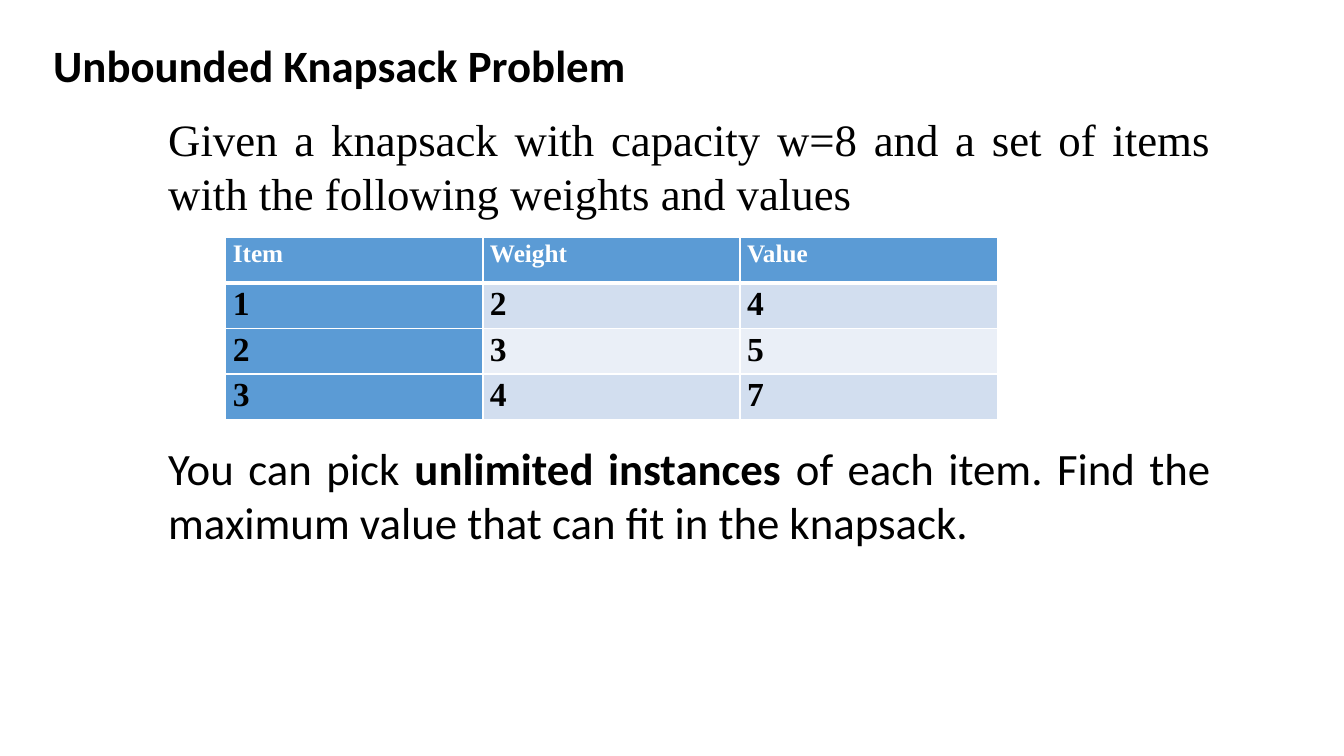
from dataclasses import dataclass

from lxml import etree
from pptx import Presentation
from pptx.dml.color import RGBColor
from pptx.enum.text import MSO_AUTO_SIZE, PP_ALIGN
from pptx.oxml.ns import qn
from pptx.util import Inches, Pt

LEFT, JUSTIFY = PP_ALIGN.LEFT, PP_ALIGN.JUSTIFY
FIT_SHAPE = MSO_AUTO_SIZE.SHAPE_TO_FIT_TEXT
SANS, SERIF = "Calibri", "Times New Roman"
COLORS = {
    "text": "000000",
    "white": "FFFFFF",
    "header": "5B9BD5",
    "band_dark": "D2DEEF",
    "band_light": "EAEFF7",
}


@dataclass
class Run:
    text: str
    font: str = SANS
    size: int = 32
    bold: bool = False
    color: str = "text"


@dataclass
class Para:
    runs: list[Run]
    align: int = LEFT
    before: int = 0


@dataclass
class TextBox:
    left: float
    top: float
    width: float
    height: float
    paras: list[Para]


TEXT_BOXES = [
    TextBox(0.43, 0.33, 9.46, 0.64, [
        Para([Run("Unbounded Knapsack Problem", bold=True)]),
    ]),
    TextBox(1.57, 1.06, 10.54, 4.41, [
        Para([Run("Given a knapsack with capacity w=8 and a set of items "
                  "with the following weights and values", SERIF)], JUSTIFY),
        # The space before this paragraph leaves room for the table
        Para([Run("You can pick "),
              Run("unlimited instances", bold=True),
              Run(" of each item. Find the maximum value that can fit "
                  "in the knapsack.")], JUSTIFY, 158),
    ]),
]
ITEMS = [
    ("Item", "Weight", "Value"),
    ("1", "2", "4"),
    ("2", "3", "5"),
    ("3", "4", "7"),
]
COL_WIDTH, ROW_HEIGHT = 2.55, 0.45


def rgb(name: str) -> RGBColor:
    return RGBColor.from_string(COLORS[name])


def add_run(p, run: Run) -> None:
    r = p.add_run()
    r.text = run.text
    r.font.name = run.font
    r.font.size = Pt(run.size)
    r.font.bold = run.bold
    r.font.color.rgb = rgb(run.color)


def add_text_box(s, box: TextBox) -> None:
    sp = s.shapes.add_textbox(Inches(box.left), Inches(box.top),
                              Inches(box.width), Inches(box.height))
    tf = sp.text_frame
    tf.word_wrap = True
    tf.auto_size = FIT_SHAPE
    for i, para in enumerate(box.paras):
        p = tf.add_paragraph() if i else tf.paragraphs[0]
        p.alignment = para.align
        p.space_before = Pt(para.before)
        for run in para.runs:
            add_run(p, run)


def set_borders(cell, row: int) -> None:
    widths = {"L": 1, "R": 1, "T": 3 if row == 1 else 1, "B": 3 if row == 0 else 1}
    tc_pr = cell._tc.get_or_add_tcPr()
    for i, (side, width) in enumerate(widths.items()):
        ln = etree.Element(qn(f"a:ln{side}"), w=str(Pt(width)))
        fill = etree.SubElement(ln, qn("a:solidFill"))
        etree.SubElement(fill, qn("a:srgbClr"), val=COLORS["white"])
        tc_pr.insert(i, ln)


def fill_cell(cell, text: str, row: int, col: int) -> None:
    if row == 0 or col == 0:
        fill = "header"
    else:
        fill = "band_dark" if row % 2 else "band_light"
    cell.fill.solid()
    cell.fill.fore_color.rgb = rgb(fill)
    cell.margin_left = cell.margin_right = Inches(0.07)
    cell.margin_top = cell.margin_bottom = 0
    p = cell.text_frame.paragraphs[0]
    p.line_spacing = 1.07
    size, color = (24, "text") if row else (18, "white")
    add_run(p, Run(text, SERIF, size, True, color))
    set_borders(cell, row)


def add_item_table(s) -> None:
    rows, cols = len(ITEMS), len(ITEMS[0])
    table = s.shapes.add_table(rows, cols, Inches(2.24), Inches(2.36),
                               Inches(cols * COL_WIDTH),
                               Inches(rows * ROW_HEIGHT)).table
    table.first_col = True
    for column in table.columns:
        column.width = Inches(COL_WIDTH)
    for r, values in enumerate(ITEMS):
        table.rows[r].height = Inches(ROW_HEIGHT)
        for c, text in enumerate(values):
            fill_cell(table.cell(r, c), text, r, c)


def main() -> None:
    prs = Presentation()
    prs.slide_width, prs.slide_height = Inches(13.33), Inches(7.5)
    s = prs.slides.add_slide(prs.slide_layouts[6])
    # Title and problem statement
    for box in TEXT_BOXES:
        add_text_box(s, box)
    # Weights and values
    add_item_table(s)
    prs.save("out.pptx")


if __name__ == "__main__":
    main()
